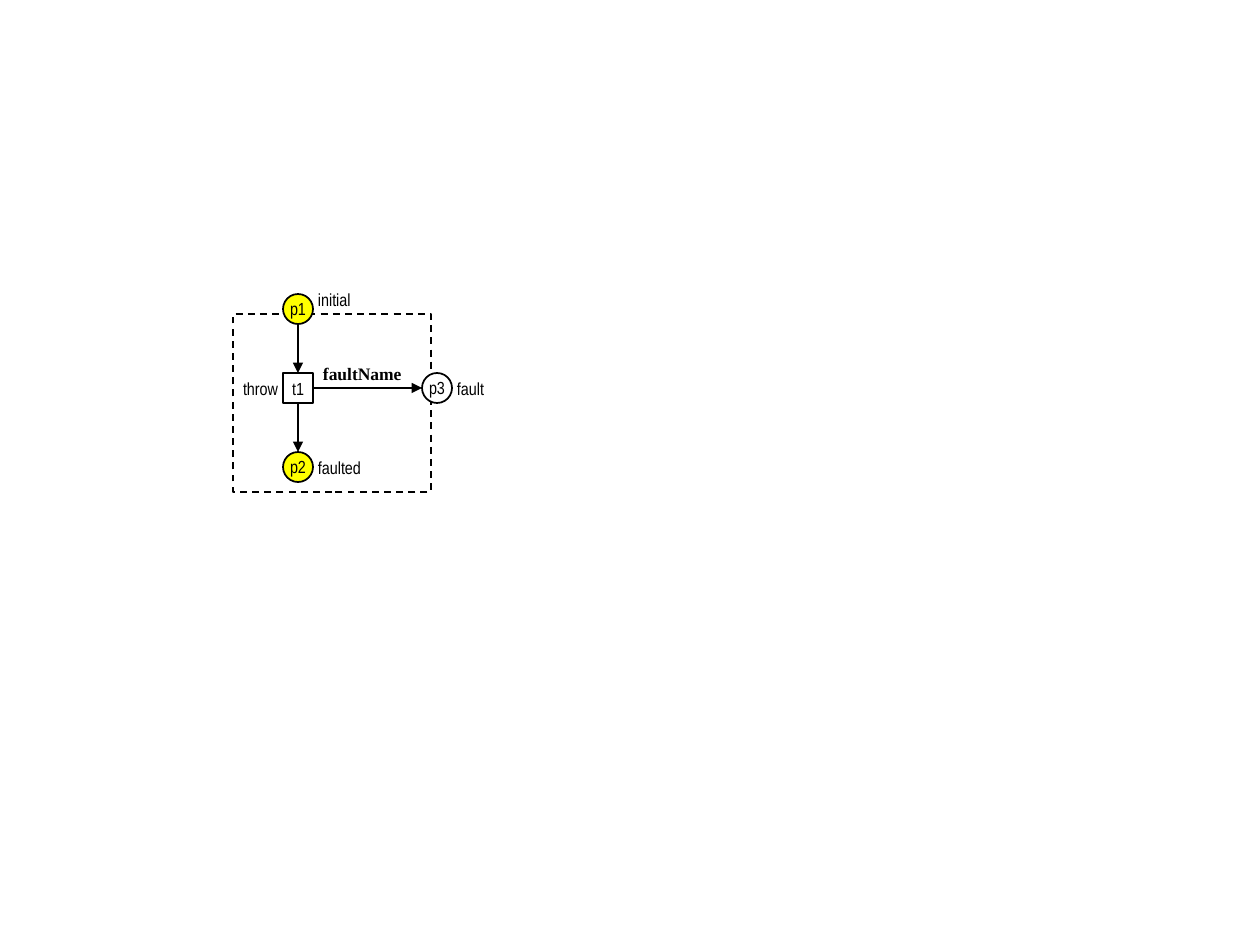
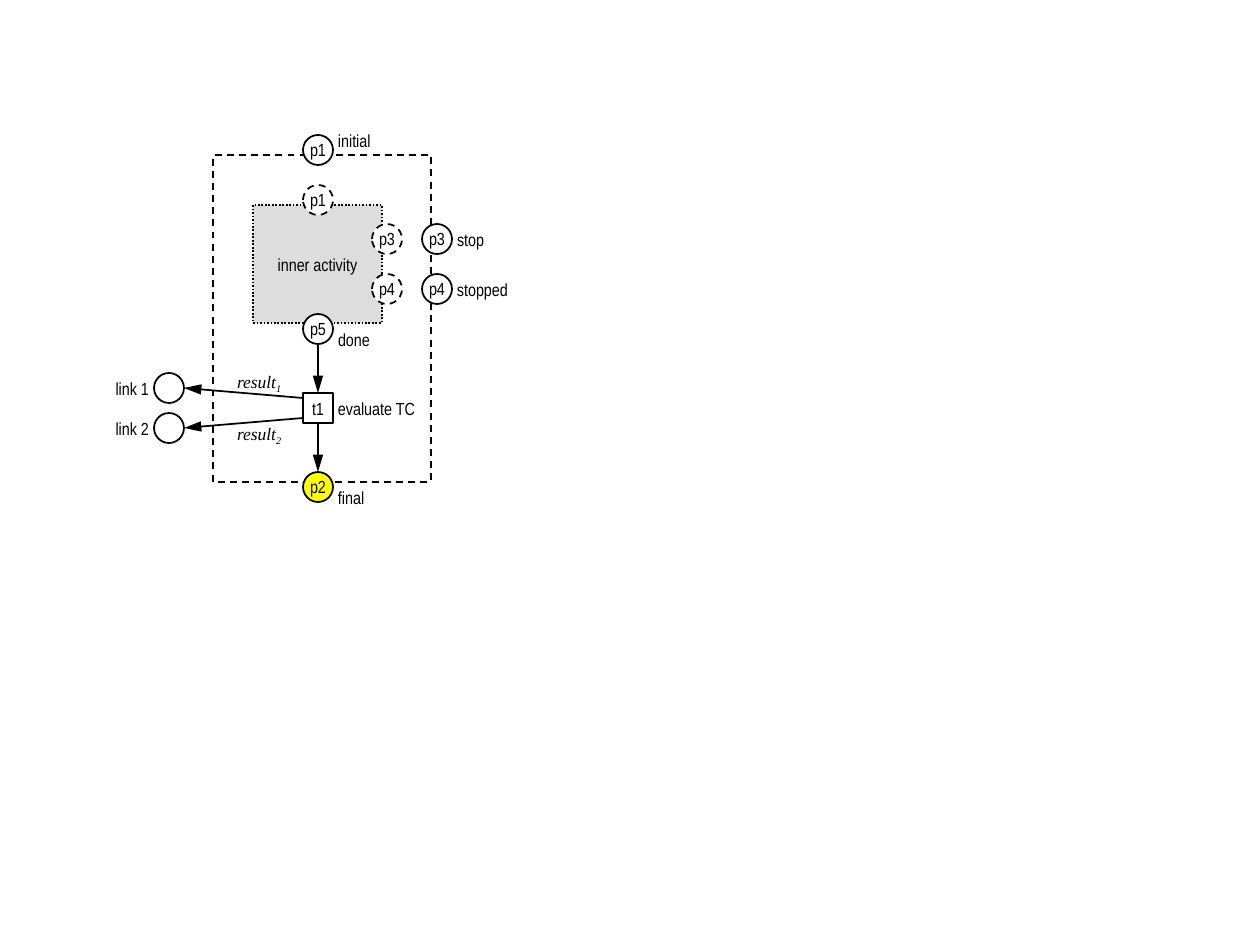
from pptx import Presentation
from pptx.dml.color import RGBColor
from pptx.enum.dml import MSO_LINE as Dash
from pptx.enum.shapes import MSO_CONNECTOR as Conn, MSO_SHAPE as Shape
from pptx.enum.text import MSO_ANCHOR as Anchor, MSO_AUTO_SIZE as Auto, PP_ALIGN as Align
from pptx.oxml.ns import qn
from pptx.util import Pt
from lxml.etree import SubElement

BLACK = RGBColor(0, 0, 0)
WHITE = RGBColor(255, 255, 255)
YELLOW = RGBColor(255, 255, 0)
GRAY = RGBColor(221, 221, 221)
SANS, SERIF = "Arial Narrow", "Times New Roman"
NODE = 30      # side of a place or transition
CHAR = 8       # room for one letter of a label
INSET = 5


def px(n):
    return round(n * 914400 / 126)


def style(font, face=SANS):
    font.name, font.size = face, Pt(10)
    font.color.rgb = BLACK


def outline(line, dash=None):
    line.color.rgb, line.width = BLACK, Pt(1)
    if dash:
        line.dash_style = dash


def block(slide, kind, box, text="", fill=None, dash=None):
    """Outlined shape with centred text."""
    shape = slide.shapes.add_shape(kind, *map(px, box))
    shape.shadow.inherit = False
    if fill is None:
        shape.fill.background()
    else:
        shape.fill.solid()
        shape.fill.fore_color.rgb = fill
    outline(shape.line, dash)
    if text:
        frame = shape.text_frame
        frame.text, frame.word_wrap = text, False
        frame.vertical_anchor = Anchor.MIDDLE
        para = frame.paragraphs[0]
        para.alignment = Align.CENTER
        style(para.runs[0].font)
    return shape


def border(slide, *box):
    return block(slide, Shape.RECTANGLE, box, dash=Dash.DASH)


def place(slide, x, y, text="", fill=WHITE, dash=None):
    return block(slide, Shape.OVAL, (x, y, NODE, NODE), text, fill, dash)


def step(slide, x, y, text):
    return block(slide, Shape.RECTANGLE, (x, y, NODE, NODE), text, WHITE)


def note(slide, box, text, inset=0):
    """Text box that keeps its text on one line."""
    shape = slide.shapes.add_textbox(*map(px, box))
    frame = shape.text_frame
    frame.text, frame.word_wrap = text, False
    frame.margin_left = frame.margin_right = px(inset)
    frame.margin_top = frame.margin_bottom = 0
    return frame


def label(slide, x, y, text, left=False):
    """Label beside the node whose corner is at x, y."""
    wide = CHAR * len(text) + 2 * INSET
    start = x - wide if left else x + NODE
    frame = note(slide, (start, y, wide, NODE), text, INSET)
    frame.vertical_anchor = Anchor.MIDDLE
    para = frame.paragraphs[0]
    para.alignment = Align.RIGHT if left else Align.LEFT
    style(para.runs[0].font)


def caption(slide, box, text, sub="", bold=False, italic=False):
    """Serif name of an arrow, with an optional subscript."""
    frame = note(slide, box, text)
    frame.auto_size = Auto.SHAPE_TO_FIT_TEXT
    para = frame.paragraphs[0]
    if sub:
        run = para.add_run()
        run.text = sub
        run._r.get_or_add_rPr().set("baseline", "-25000")
    for run in para.runs:
        style(run.font, SERIF)
        run.font.bold, run.font.italic = bold, italic


def arrow(slide, x1, y1, x2, y2, size="med"):
    line = slide.shapes.add_connector(Conn.STRAIGHT, *map(px, (x1, y1, x2, y2)))
    outline(line.line)
    props = line._element.spPr
    SubElement(props.find(qn("a:ln")), qn("a:tailEnd"), type="triangle", w="med", len=size)
    SubElement(props, qn("a:effectLst"))
    return line


def flow(slide, x, y, box, gap, size="med"):
    """Arrows down into and out of the step at x, y."""
    mid = x + NODE // 2
    arrow(slide, mid, y - gap, mid, y, size).end_connect(box, 0)
    arrow(slide, mid, y + NODE, mid, y + NODE + gap, size).begin_connect(box, 2)


def throw(slide):
    x, y, right = 283, 373, 422
    gap = 49
    pitch = NODE + gap
    border(slide, 233, 314, 198, 178)

    # Places and transition
    place(slide, x, y - pitch, "p1", YELLOW)
    place(slide, x, y + pitch, "p2", YELLOW)
    place(slide, right, y, "p3")
    box = step(slide, x, y, "t1")

    # Arrows
    flow(slide, x, y, box, gap)
    mid = y + NODE // 2
    arrow(slide, x + NODE, mid, right, mid).begin_connect(box, 3)
    caption(slide, (323, 363, 84, 21), "faultName", bold=True)

    # Labels
    label(slide, x, y - pitch - 10, "initial")
    label(slide, x, y + pitch, "faulted")
    label(slide, right, y, "fault")
    label(slide, x, y, "throw", left=True)


def links(slide):
    x, y, inner, right, far = 303, 393, 372, 422, 154
    gap = 49
    pitch = NODE + gap
    border(slide, 213, 155, 218, 327)

    # Inner activity
    block(slide, Shape.RECTANGLE, (253, 205, 129, 118), "inner activity", GRAY,
          Dash.ROUND_DOT)
    place(slide, x, 185, "p1", dash=Dash.DASH)
    place(slide, x, y - pitch, "p5")

    # Outer places and transition
    place(slide, x, 135, "p1")
    place(slide, x, y + pitch, "p2", YELLOW)
    box = step(slide, x, y, "t1")
    flow(slide, x, y, box, gap, "lg")

    # Stop places, inside and outside
    for name, text, top in (("p3", "stop", 224), ("p4", "stopped", 274)):
        place(slide, inner, top, name, dash=Dash.DASH)
        place(slide, right, top, name)
        label(slide, right, top, text)

    # Links and their results
    for num, top, start, high in (("1", 373, 398, 371), ("2", 413, 418, 423)):
        place(slide, far, top)
        label(slide, far, top, f"link {num}", left=True)
        arrow(slide, x, start, far + NODE, top + NODE // 2, "lg")
        caption(slide, (237, high, 46, 24), "result", num, italic=True)

    # Labels
    label(slide, x, 125, "initial")
    label(slide, x, y - pitch + 10, "done")
    label(slide, x, y, "evaluate TC")
    label(slide, x, y + pitch + 10, "final")


def main():
    deck = Presentation()
    deck.slide_width, deck.slide_height = px(1260), px(945)
    for draw in (throw, links):
        draw(deck.slides.add_slide(deck.slide_layouts[6]))
    deck.save("out.pptx")


if __name__ == "__main__":
    main()
